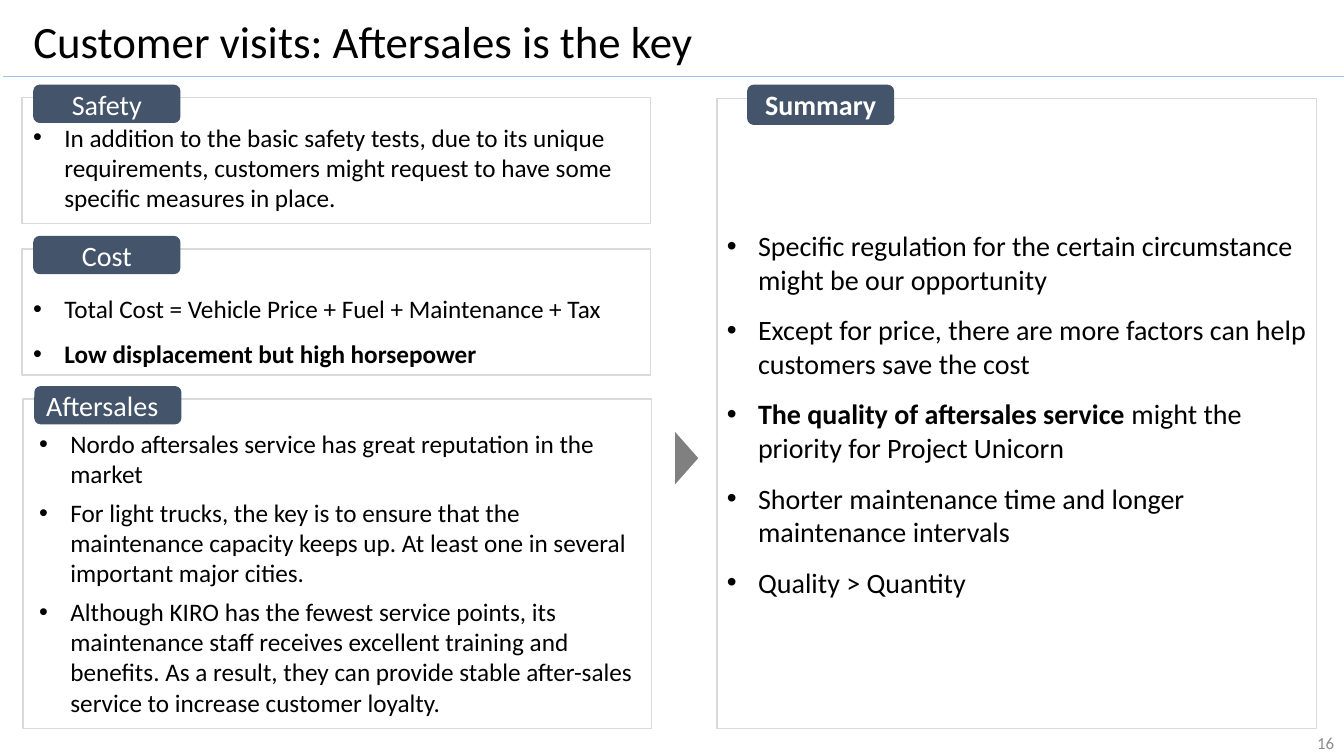
"""Build the customer visits slide: three findings panels leading to a summary."""
from lxml import etree
from pptx import Presentation
from pptx.dml.color import RGBColor
from pptx.enum.shapes import MSO_CONNECTOR, MSO_SHAPE
from pptx.enum.text import MSO_ANCHOR as Anchor, MSO_AUTO_SIZE as AutoSize, PP_ALIGN as Align
from pptx.oxml.ns import qn
from pptx.util import Inches, Pt

FONT = "Calibri"
BLACK, WHITE, NAVY, GREY = "000000", "FFFFFF", "44546A", "808080"
FRAME, RULE, NUMBER = "D9D9D9", "9DC3E6", "8C8C8C"
HANG = 0.31

TITLE = "Customer visits: Aftersales is the key"
PAGE_NUMBER = "16"

SAFETY = [
    [("In addition to the basic safety tests, due to its unique requirements, "
      "customers might request to have some specific measures in place.", False)],
]
COST = [
    [("Total Cost = Vehicle Price + Fuel + Maintenance + Tax", False)],
    [("Low displacement but high horsepower", True)],
]
AFTERSALES = [
    [("Nordo aftersales service has great reputation in the market", False)],
    [("For light trucks, the key is to ensure that the maintenance capacity keeps up. "
      "At least one in several important major cities.", False)],
    [("Although KIRO has the fewest service points, its maintenance staff receives "
      "excellent training and benefits. As a result, they can provide stable after-sales "
      "service to increase customer loyalty.", False)],
]
SUMMARY = [
    [("Specific regulation for the certain circumstance might be our opportunity", False)],
    [("Except for price, there are more factors can help customers save the cost", False)],
    [("The quality of aftersales service ", True),
     ("might the priority for Project Unicorn", False)],
    [("Shorter maintenance time and longer maintenance intervals", False)],
    [("Quality > Quantity", False)],
]

# label, label alignment, frame, text area, bullets, line spacing, space before
FINDINGS = [
    ("Safety", Align.CENTER, (0.22, 0.97, 6.23, 1.25), (0.23, 1.16, 6.2, 1.06), SAFETY, 1, 0),
    ("Cost", Align.CENTER, (0.22, 2.47, 6.23, 1.25), (0.23, 2.71, 6.11, 1.01), COST, 1.5, 0),
    ("Aftersales", Align.LEFT, (0.23, 3.96, 6.23, 3.27), (0.29, 4.2, 6.2, 3.03),
     AFTERSALES, 1, 6),
]


def color(value):
    return RGBColor.from_string(value)


def add_bullet(para):
    props = para._p.get_or_add_pPr()
    props.set("marL", str(Inches(HANG)))
    props.set("indent", str(-Inches(HANG)))
    etree.SubElement(props, qn("a:buFont")).set("typeface", "Arial")
    etree.SubElement(props, qn("a:buChar")).set("char", "•")


def write(box, paragraphs, size, ink=BLACK, align=Align.LEFT, anchor=Anchor.TOP,
          bullets=False, spacing=1, before=0, after=0, wrap=True):
    frame = box.text_frame
    frame.word_wrap = wrap
    frame.auto_size = AutoSize.NONE
    frame.vertical_anchor = anchor
    for index, runs in enumerate(paragraphs):
        para = frame.add_paragraph() if index else frame.paragraphs[0]
        if bullets:
            add_bullet(para)
        para.alignment = align
        para.line_spacing = spacing
        para.space_before = Pt(before if index else 0)
        para.space_after = Pt(after)
        for text, bold in runs:
            span = para.add_run()
            span.text = text
            span.font.name = FONT
            span.font.size = Pt(size)
            span.font.bold = bold
            span.font.color.rgb = color(ink)


def add_shape(shapes, kind, area, fill=None, line=None):
    shape = shapes.add_shape(kind, *map(Inches, area))
    shape.shadow.inherit = False
    if fill:
        shape.fill.solid()
        shape.fill.fore_color.rgb = color(fill)
    else:
        shape.fill.background()
    if line:
        shape.line.color.rgb = color(line)
        shape.line.width = Pt(1)
    else:
        shape.line.fill.background()
    return shape


def add_panel(group, area, label, label_offset, label_height, align=Align.CENTER, bold=False):
    frame = add_shape(group.shapes, MSO_SHAPE.RECTANGLE, area, line=FRAME)
    right, up = label_offset
    label_area = (area[0] + right, area[1] - up, 1.46, label_height)
    tab = add_shape(group.shapes, MSO_SHAPE.ROUNDED_RECTANGLE, label_area, fill=NAVY)
    write(tab, [[(label, bold)]], 20, WHITE, align, Anchor.MIDDLE)
    return frame


def main():
    deck = Presentation()
    deck.slide_width, deck.slide_height = Inches(13.33), Inches(7.5)
    page = deck.slides.add_slide(deck.slide_layouts[5])
    shapes = page.shapes

    title = shapes.title
    title.left, title.top, title.width, title.height = map(Inches, (0.23, 0.09, 6.82, 0.64))
    write(title, [[(TITLE, False)]], 32, wrap=False)

    group = shapes.add_group_shape()
    summary = add_panel(group, (7.11, 0.98, 5.95, 6.25), "Summary", (0.3, 0.14), 0.4, bold=True)
    write(summary, SUMMARY, 20, anchor=Anchor.MIDDLE, bullets=True, before=6, after=6)

    pointer = add_shape(shapes, MSO_SHAPE.ISOSCELES_TRIANGLE, (6.55, 4.43, 0.52, 0.23), fill=GREY)
    pointer.rotation = 90

    for label, align, area, text_area, bullets, spacing, before in FINDINGS:
        group = shapes.add_group_shape()
        add_panel(group, area, label, (0.11, 0.13), 0.38, align)
        box = group.shapes.add_textbox(*map(Inches, text_area))
        write(box, bullets, 18, bullets=True, spacing=spacing, before=before)

    number = shapes.add_textbox(*map(Inches, (10.33, 7.24, 3, 0.26)))
    number.text_frame.margin_top = number.text_frame.margin_bottom = 0
    write(number, [[(PAGE_NUMBER, False)]], 12, NUMBER, Align.RIGHT, Anchor.MIDDLE)

    rule = shapes.add_connector(MSO_CONNECTOR.STRAIGHT, *map(Inches, (0.03, 0.76, 13.33, 0.76)))
    rule.line.color.rgb = color(RULE)
    rule.line.width = Pt(0.5)
    etree.SubElement(rule._element.spPr, qn("a:effectLst"))

    deck.save("out.pptx")


if __name__ == "__main__":
    main()
